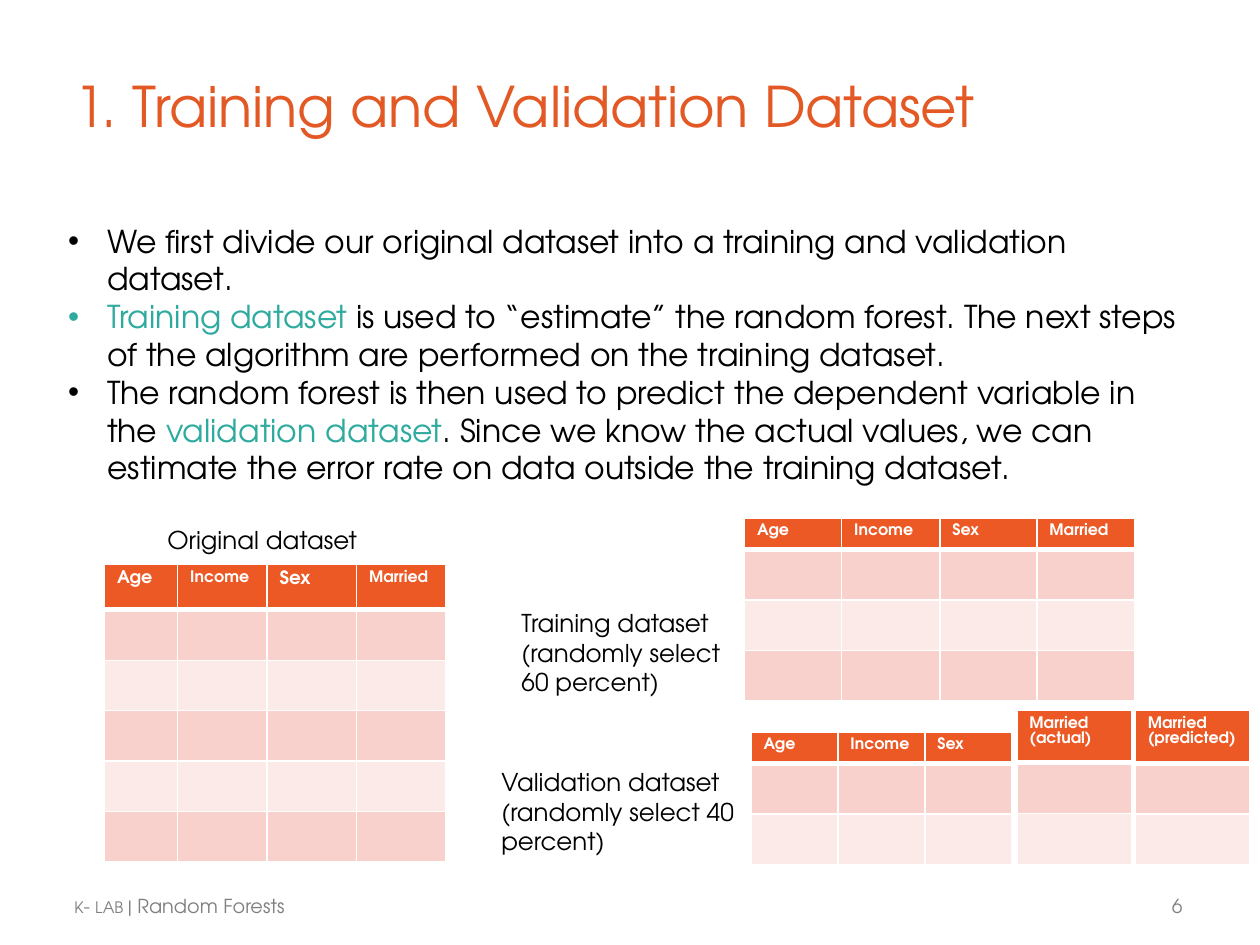
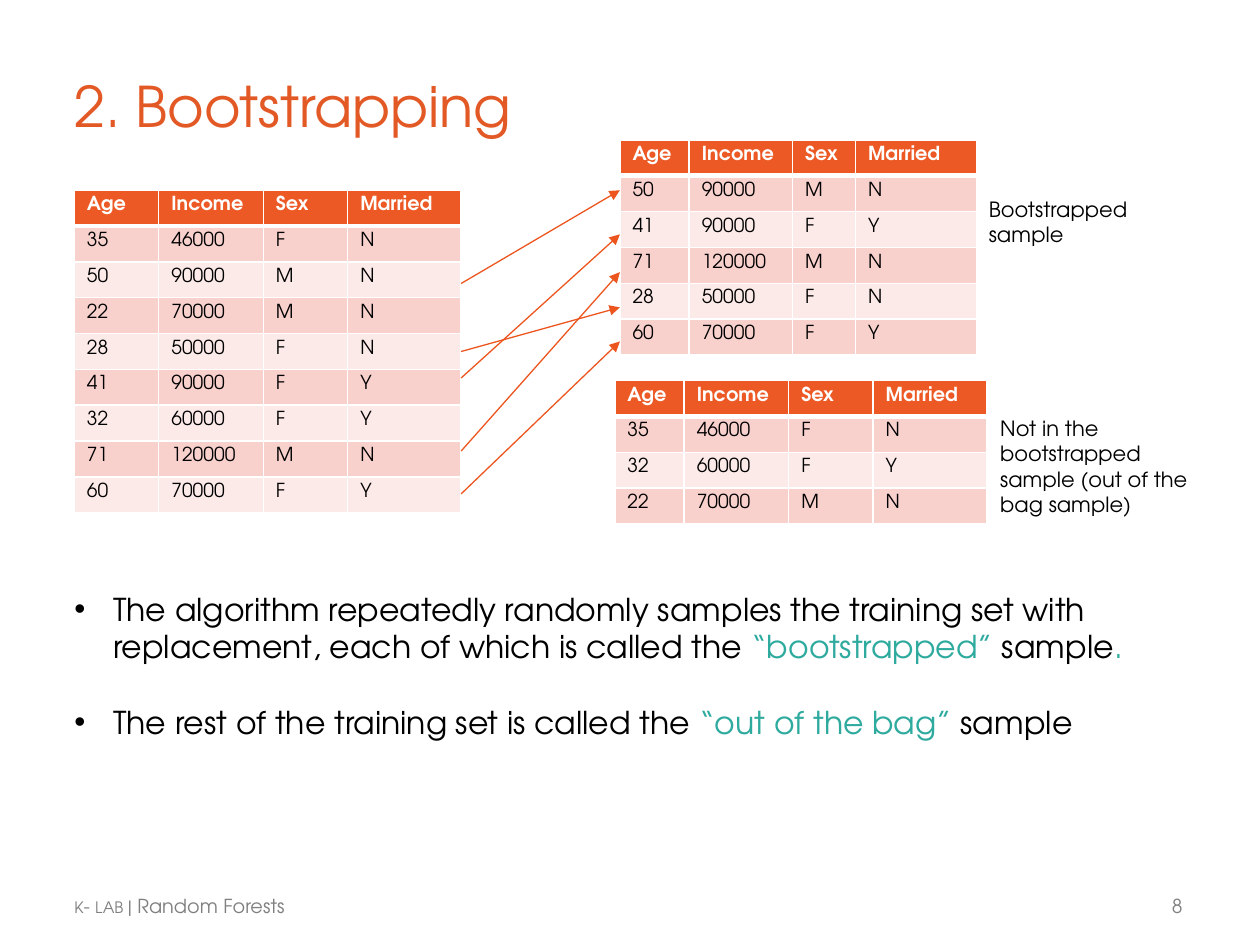
"""Two slides on random forests: data splitting and bootstrapping."""
from dataclasses import dataclass
from typing import Optional

from lxml import etree
from pptx import Presentation
from pptx.dml.color import RGBColor
from pptx.enum.shapes import MSO_CONNECTOR
from pptx.enum.text import MSO_ANCHOR, PP_ALIGN
from pptx.oxml.ns import qn
from pptx.util import Inches, Pt

STRAIGHT = MSO_CONNECTOR.STRAIGHT
TOP = MSO_ANCHOR.TOP
LEFT = PP_ALIGN.LEFT
TITLE_ONLY = 5


@dataclass(frozen=True)
class Theme:
    """Font, colours and type sizes of the deck."""
    font: str = "TeX Gyre Adventor"
    title: str = "E35925"
    header: str = "ED5925"
    arrow: str = "ED551F"
    bands: tuple = ("F8D1CD", "FCEAE8")
    accent: str = "2FAA9F"
    footer: str = "7F7F7F"
    text: str = "000000"
    white: str = "FFFFFF"
    title_size: float = 32
    body_size: float = 18
    footer_size: float = 11
    footer_small: float = 9
    cell_size: float = 11
    header_small: float = 9


THEME = Theme()


@dataclass(frozen=True)
class DataTable:
    """A banded table; rows under the header share the remaining height."""
    left: float
    top: float
    height: float
    cols: tuple
    header: tuple
    rows: tuple
    header_height: Optional[float] = None
    header_sizes: tuple = ()


@dataclass(frozen=True)
class Label:
    """A short caption beside a table."""
    text: str
    left: float
    top: float
    width: float
    height: float
    size: float


@dataclass(frozen=True)
class Body:
    """A bulleted text block; asterisks enclose accented words."""
    top: float
    height: float
    bullets: tuple
    gap: float = 0


def style_run(r, size: float, color: str, bold: bool = False, tight: bool = False) -> None:
    """Give a run the deck font, a size and a colour."""
    r.font.name = THEME.font
    r.font.size = Pt(size)
    r.font.bold = bold
    r.font.color.rgb = RGBColor.from_string(color)
    if tight:
        r._r.get_or_add_rPr().set("spc", "-10")


def add_run(p, text: str, size: float, color: str, tight: bool = False) -> None:
    """Append a styled run to a paragraph."""
    r = p.add_run()
    r.text = text
    style_run(r, size, color, tight=tight)


def set_insets(tf, top: float) -> None:
    """Drop the side and bottom insets and set the top one."""
    tf.margin_left = tf.margin_right = tf.margin_bottom = 0
    tf.margin_top = Inches(top)


def add_box(slide, left: float, top: float, width: float, height: float, wrap: bool = True):
    """Add a text box and return its text frame."""
    sp = slide.shapes.add_textbox(Inches(left), Inches(top), Inches(width), Inches(height))
    tf = sp.text_frame
    tf.word_wrap = wrap
    return tf


def add_title(slide, text: str, width: float) -> None:
    """Place and format the title placeholder."""
    sp = slide.shapes.title
    sp.left, sp.top = Inches(0.59), Inches(0.56)
    sp.width, sp.height = Inches(width), Inches(0.55)
    tf = sp.text_frame
    tf.text = text
    tf.word_wrap = True
    tf.vertical_anchor = TOP
    set_insets(tf, 0.01)
    p = tf.paragraphs[0]
    p.alignment = LEFT
    p.space_before = Pt(1)
    style_run(p.runs[0], THEME.title_size, THEME.title, tight=True)


def add_footer(slide, number: int) -> None:
    """Add the course line and the page number."""
    small, normal = THEME.footer_small, THEME.footer_size
    course = (("K", small, True), ("- ", normal, True), ("LAB ", small, True),
              ("| Random Forests", normal, False))
    page = ((str(number), normal, False),)
    for left, width, parts in ((0.59, 2.12, course), (9.3, 0.11, page)):
        tf = add_box(slide, left, 7.09, width, 0.2, wrap=False)
        set_insets(tf, 0.01)
        p = tf.paragraphs[0]
        p.space_before = Pt(1)
        for text, size, tight in parts:
            add_run(p, text, size, THEME.footer, tight)


def add_body(slide, left: float, body: Body) -> None:
    """Add a bulleted block with accented words."""
    tf = add_box(slide, left, body.top, 8.91, body.height)
    set_insets(tf, 0.18)
    for i, bullet in enumerate(body.bullets):
        p = tf.add_paragraph() if i else tf.paragraphs[0]
        if i:
            p.space_before = Pt(body.gap)
        pPr = p._p.get_or_add_pPr()
        pPr.set("marL", str(Inches(0.31)))
        pPr.set("indent", str(-Inches(0.31)))
        etree.SubElement(pPr, qn("a:buFont")).set("typeface", "Arial")
        etree.SubElement(pPr, qn("a:buChar")).set("char", "•")
        for j, part in enumerate(bullet.split("*")):
            if part:
                add_run(p, part, THEME.body_size, THEME.accent if j % 2 else THEME.text)


def add_label(slide, label: Label) -> None:
    """Add a caption."""
    tf = add_box(slide, label.left, label.top, label.width, label.height)
    tf.text = label.text
    style_run(tf.paragraphs[0].runs[0], label.size, THEME.text)


def set_borders(cell, bottom: float) -> None:
    """Draw white cell borders, with a chosen weight below."""
    tcPr = cell._tc.get_or_add_tcPr()
    for side, weight in (("L", 1), ("R", 1), ("T", 1), ("B", bottom)):
        ln = etree.SubElement(tcPr, qn(f"a:ln{side}"), w=str(Pt(weight)))
        fill = etree.SubElement(ln, qn("a:solidFill"))
        etree.SubElement(fill, qn("a:srgbClr")).set("val", THEME.white)


def fill_cell(cell, text: str, fill: str, size: float, is_header: bool) -> None:
    """Write and colour one table cell."""
    set_borders(cell, 3 if is_header else 1)
    cell.fill.solid()
    cell.fill.fore_color.rgb = RGBColor.from_string(fill)
    if text:
        cell.text_frame.text = text
        r = cell.text_frame.paragraphs[0].runs[0]
        style_run(r, size, THEME.white if is_header else THEME.text, is_header)


def add_data_table(slide, data: DataTable) -> None:
    """Add a table with a header row and alternating bands."""
    count = len(data.rows) + 1
    frame = slide.shapes.add_table(count, len(data.cols), Inches(data.left), Inches(data.top),
                                   Inches(sum(data.cols)), Inches(data.height))
    table = frame.table
    table.first_row = table.horz_banding = False
    for col, width in zip(table.columns, data.cols):
        col.width = Inches(width)
    head = data.header_height or data.height / count
    for i, row in enumerate(table.rows):
        row.height = Inches((data.height - head) / (count - 1) if i else head)
    sizes = data.header_sizes or (THEME.cell_size,) * len(data.cols)
    for i, values in enumerate((data.header,) + data.rows):
        fill = THEME.bands[(i - 1) % 2] if i else THEME.header
        for j, value in enumerate(values):
            size = THEME.cell_size if i else sizes[j]
            fill_cell(table.cell(i, j), value, fill, size, i == 0)


def add_arrow(slide, start_y: float, end_y: float) -> None:
    """Link a training row to its bootstrapped row."""
    line = slide.shapes.add_connector(STRAIGHT, Inches(3.66), Inches(start_y),
                                      Inches(4.92), Inches(end_y))
    line.line.color.rgb = RGBColor.from_string(THEME.arrow)
    line.line.width = Pt(0.75)
    etree.SubElement(line.line._get_or_add_ln(), qn("a:tailEnd")).set("type", "triangle")
    etree.SubElement(line._element.spPr, qn("a:effectLst"))


def blank_rows(rows: int, cols: int) -> tuple:
    """Return rows of empty cells."""
    return (("",) * cols,) * rows


def start_slide(prs, title: str, title_width: float, number: int):
    """Add a slide with its title and footer."""
    slide = prs.slides.add_slide(prs.slide_layouts[TITLE_ONLY])
    add_title(slide, title, title_width)
    add_footer(slide, number)
    return slide


FIELDS = ("Age", "Income", "Sex", "Married")
SMALL = THEME.header_small

SPLIT_TABLES = (
    DataTable(0.83, 4.48, 2.36, (0.58, 0.71, 0.71, 0.71), FIELDS, blank_rows(5, 4), 0.36,
              (10, SMALL, 10.5, SMALL)),
    DataTable(5.91, 4.11, 1.45, (0.77, 0.78, 0.77, 0.78), FIELDS, blank_rows(3, 4), 0.25,
              (SMALL,) * 4),
    DataTable(5.96, 5.81, 1.05, (0.69,) * 3, FIELDS[:3], blank_rows(2, 3), 0.25, (SMALL,) * 3),
    DataTable(8.07, 5.64, 1.22, (0.91,), ("Married (actual)",), blank_rows(2, 1), 0.41, (SMALL,)),
    DataTable(9.01, 5.64, 1.22, (0.91,), ("Married (predicted)",), blank_rows(2, 1), 0.42,
              (SMALL,)),
)
SPLIT_LABELS = (
    Label("Original dataset", 1.23, 4.12, 1.92, 0.34, 14),
    Label("Validation dataset (randomly select 40 percent)", 3.88, 6.04, 2.25, 0.81, 14),
    Label("Training dataset (randomly select 60 percent)", 4.04, 4.78, 1.92, 0.81, 14),
)
SPLIT_BODY = Body(1.58, 2.3, (
    "We first divide our original dataset into a training and validation dataset.",
    "*Training dataset* is used to “estimate” the random forest. The next steps of the "
    "algorithm are performed on the training dataset.",
    "The random forest is then used to predict the dependent variable in the "
    "*validation dataset*. Since we know the actual values, we can estimate the error rate "
    "on data outside the training dataset.",
))

TRAINING = (
    ("35", "46000", "F", "N"), ("50", "90000", "M", "N"), ("22", "70000", "M", "N"),
    ("28", "50000", "F", "N"), ("41", "90000", "F", "Y"), ("32", "60000", "F", "Y"),
    ("71", "120000", "M", "N"), ("60", "70000", "F", "Y"),
)
BOOTSTRAPPED = tuple(TRAINING[i] for i in (1, 4, 6, 3, 7))
OUT_OF_BAG = tuple(TRAINING[i] for i in (0, 5, 2))

SAMPLE_TABLES = (
    DataTable(0.59, 1.51, 2.56, (0.67, 0.83, 0.67, 0.9), FIELDS, TRAINING),
    DataTable(4.92, 1.11, 1.71, (0.55, 0.82, 0.5, 0.96), FIELDS, BOOTSTRAPPED),
    DataTable(4.88, 3.02, 1.14, (0.55, 0.83, 0.67, 0.9), FIELDS, OUT_OF_BAG),
)
SAMPLE_LABELS = (
    Label("Bootstrapped sample", 7.75, 1.51, 1.83, 0.5, 12),
    Label("Not in the bootstrapped sample (out of the bag sample)", 7.84, 3.25, 1.83, 0.91, 12),
)
SAMPLE_ARROWS = ((2.25, 1.51), (3, 1.86), (3.58, 2.16), (2.79, 2.44), (3.92, 2.71))
SAMPLE_BODY = Body(4.5, 1.39, (
    "The algorithm repeatedly randomly samples the training set with replacement, each of "
    "which is called the *“bootstrapped”* sample*.*",
    "The rest of the training set is called the *“out of the bag”* sample",
), gap=21.6)


def fill_slide(slide, tables: tuple, labels: tuple, body: Body, body_left: float) -> None:
    """Draw the tables, captions and bullets of a slide."""
    for data in tables:
        add_data_table(slide, data)
    for label in labels:
        add_label(slide, label)
    add_body(slide, body_left, body)


def main() -> None:
    """Build and save the deck."""
    prs = Presentation()
    prs.slide_width, prs.slide_height = Inches(10), Inches(7.5)
    slide = start_slide(prs, "1. Training and Validation Dataset", 7.33, 6)
    fill_slide(slide, SPLIT_TABLES, SPLIT_LABELS, SPLIT_BODY, 0.54)
    slide = start_slide(prs, "2. Bootstrapping", 5.75, 8)
    fill_slide(slide, SAMPLE_TABLES, SAMPLE_LABELS, SAMPLE_BODY, 0.59)
    for start_y, end_y in SAMPLE_ARROWS:
        add_arrow(slide, start_y, end_y)
    prs.save("out.pptx")


main()
